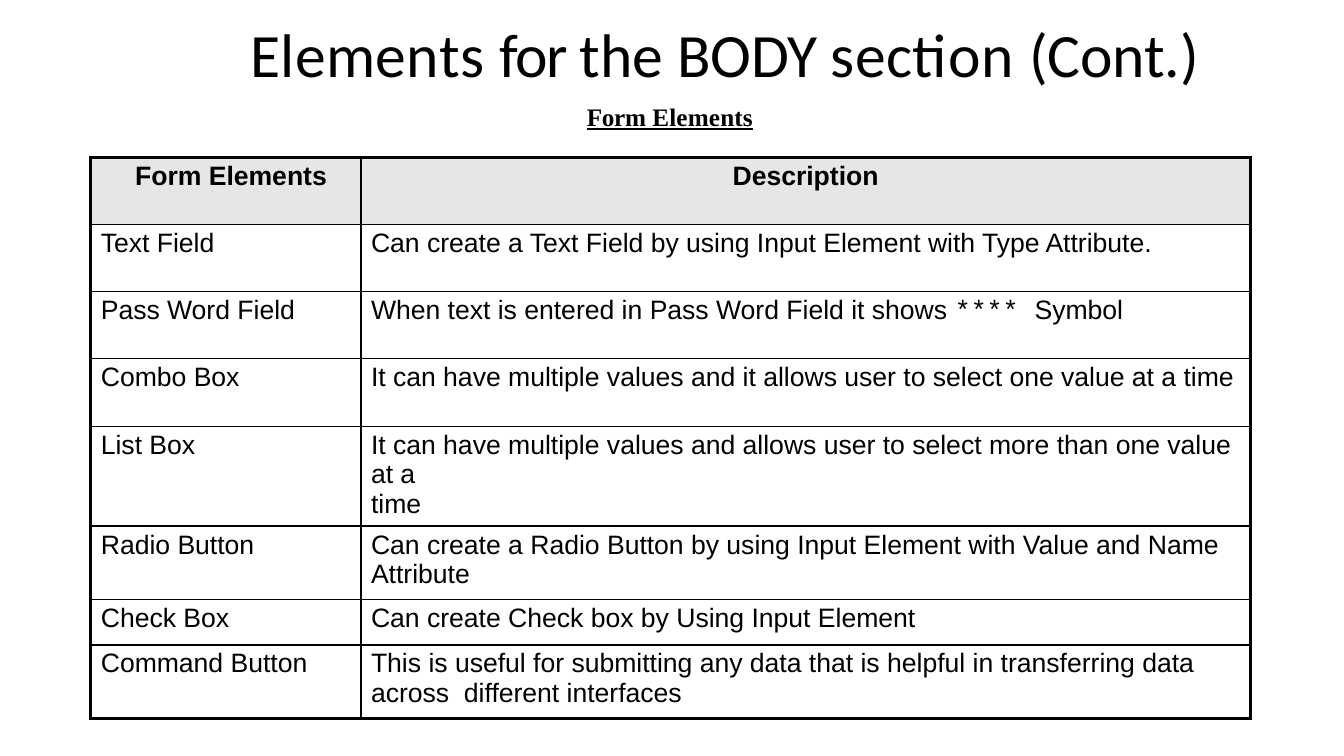
from dataclasses import dataclass

from lxml.etree import SubElement
from pptx import Presentation
from pptx.dml.color import RGBColor
from pptx.enum.text import MSO_ANCHOR, PP_ALIGN
from pptx.oxml import parse_xml
from pptx.oxml.ns import nsdecls, qn
from pptx.util import Inches, Pt


@dataclass(frozen=True)
class Theme:
    ink: str = "000000"
    header_fill: str = "E7E6E6"
    title_font: str = "Calibri"
    subtitle_font: str = "Times New Roman"
    table_font: str = "Arial"
    symbol_font: str = "Courier New"
    title_size: float = 44
    subtitle_size: float = 18
    table_size: float = 19
    thin: float = 1
    thick: float = 2.25


THEME = Theme()
COLUMNS = [2.68, 8.82]
HEIGHTS = [0.67, 0.66, 0.67, 0.67, 0.98, 0.73, 0.45, 0.73]
TITLE = [("Elements ", 0.3), ("for ", -1.2), ("the ", 0), ("BODY ", -0.3),
         ("section ", 0.3), ("(Cont.)", -0.1)]
SUBTITLE = [("Form", -0.2), (" ", -0.5), ("Elements", 0.1)]
ROWS = [
    ("Form Elements", "Description"),
    ("Text Field", "Can create a Text Field by using Input Element with Type Attribute."),
    ("Pass Word Field", "When text is entered in Pass Word Field it shows **** Symbol"),
    ("Combo Box", "It can have multiple values and it allows user to select one value at a time"),
    ("List Box", "It can have multiple values and allows user to select more than one value at a\ntime"),
    ("Radio Button", "Can create a Radio Button by using Input Element with Value and Name\nAttribute"),
    ("Check Box", "Can create Check box by Using Input Element"),
    ("Command Button", "This is useful for submitting any data that is helpful in transferring data "
                       "across  different interfaces"),
]


def add_run(p, text, font, size, spacing=0, bold=False, underline=False):
    r = p.add_run()
    r.text = text
    r.font.name = font
    r.font.size = Pt(size)
    r.font.bold = bold
    r.font.underline = underline
    r.font.color.rgb = RGBColor.from_string(THEME.ink)
    r.font._element.set("spc", str(round(spacing * 100)))


def add_heading(s, box, pieces, font, size, anchor, wrap, emphasis=False):
    tf = s.shapes.add_textbox(*map(Inches, box)).text_frame
    tf.word_wrap = wrap
    tf.vertical_anchor = anchor
    tf.margin_left = tf.margin_right = tf.margin_bottom = 0
    tf.margin_top = Inches(0.01)
    p = tf.paragraphs[0]
    for text, spacing in pieces:
        add_run(p, text, font, size, spacing, emphasis, emphasis)


def set_borders(cell, widths):
    tcPr = cell._tc.get_or_add_tcPr()
    for i, (tag, width) in enumerate(widths.items()):
        ln = parse_xml(f'<a:{tag} {nsdecls("a")} w="{Pt(width)}"/>')
        fill = SubElement(ln, qn("a:solidFill"))
        SubElement(fill, qn("a:srgbClr")).set("val", THEME.ink)
        tcPr.insert(i, ln)


def fill_text(cell, text, header, indent):
    cell.margin_left = cell.margin_bottom = 0
    cell.margin_right = 0 if header else Inches(0.08)
    cell.margin_top = Inches(0.04)
    tf = cell.text_frame
    for i, line in enumerate(text.split("\n")):
        p = tf.add_paragraph() if i else tf.paragraphs[0]
        p._p.get_or_add_pPr().set("marL", str(Inches(indent)))
        before, stars, after = line.partition("**** ")
        for piece, font in ((before, THEME.table_font), (stars, THEME.symbol_font),
                            (after, THEME.table_font)):
            if piece:
                add_run(p, piece, font, THEME.table_size, bold=header)


def add_elements_table(s):
    last = len(ROWS) - 1
    frame = s.shapes.add_table(len(ROWS), len(COLUMNS), Inches(0.9), Inches(1.56),
                               Inches(sum(COLUMNS)), Inches(sum(HEIGHTS)))
    table = frame.table
    for column, width in zip(table.columns, COLUMNS):
        column.width = Inches(width)
    for i, (height, texts) in enumerate(zip(HEIGHTS, ROWS)):
        table.rows[i].height = Inches(height)
        for j, text in enumerate(texts):
            cell = table.cell(i, j)
            header = i == 0
            indent = (0.44, 0)[j] if header else 0.1
            fill_text(cell, text, header, indent)
            if header:
                cell.fill.solid()
                cell.fill.fore_color.rgb = RGBColor.from_string(THEME.header_fill)
            else:
                cell.fill.background()
            thick_sides = {"lnL": j == 0, "lnR": j == 1,
                           "lnT": i in (0, last), "lnB": i >= last - 1}
            set_borders(cell, {side: THEME.thick if thick else THEME.thin
                               for side, thick in thick_sides.items()})
    table.cell(0, 1).text_frame.paragraphs[0].alignment = PP_ALIGN.CENTER


def main():
    prs = Presentation()
    prs.slide_width, prs.slide_height = Inches(13.33), Inches(7.5)
    s = prs.slides.add_slide(prs.slide_layouts[6])
    add_heading(s, (2.48, 0.14, 10.85, 0.75), TITLE, THEME.title_font,
                THEME.title_size, MSO_ANCHOR.MIDDLE, True)
    add_heading(s, (5.82, 0.99, 1.68, 0.32), SUBTITLE, THEME.subtitle_font,
                THEME.subtitle_size, MSO_ANCHOR.TOP, False, emphasis=True)
    add_elements_table(s)
    prs.save("out.pptx")


if __name__ == "__main__":
    main()
